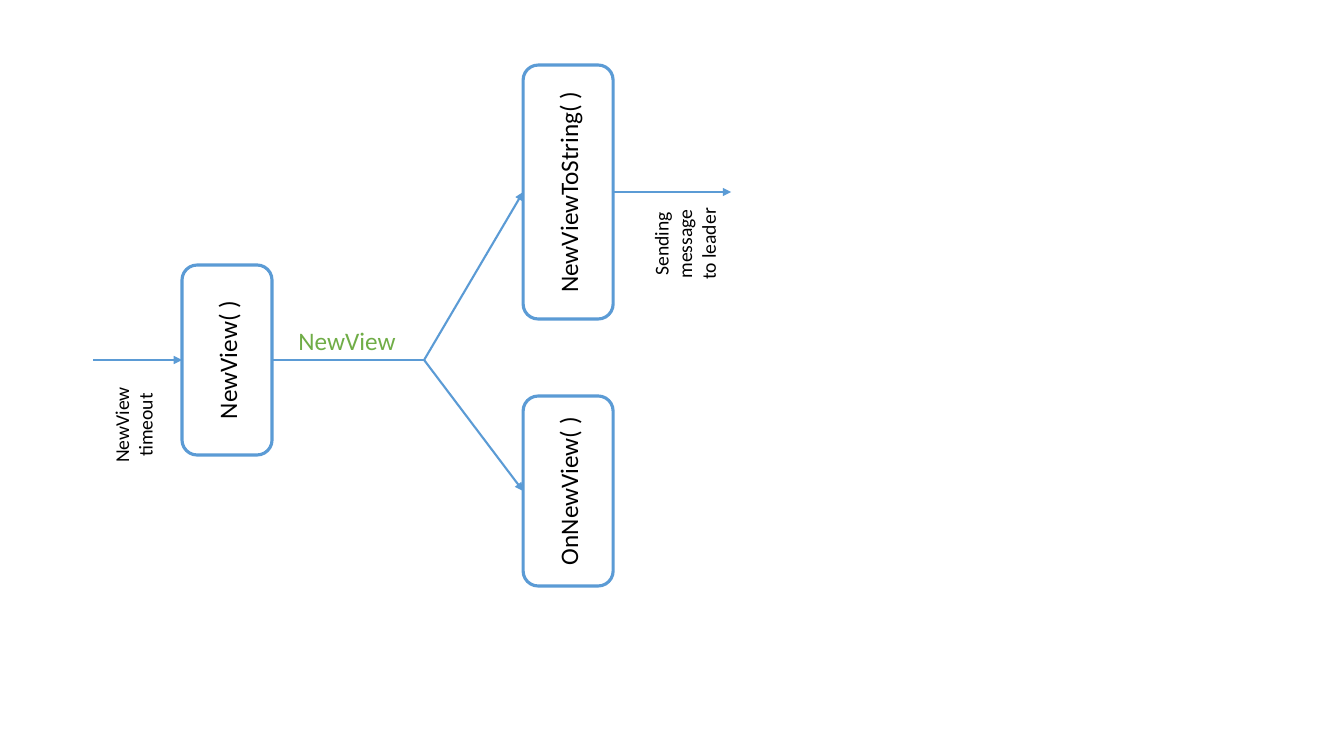
from dataclasses import dataclass

from lxml import etree
from pptx import Presentation
from pptx.dml.color import RGBColor
from pptx.enum.shapes import MSO_CONNECTOR, MSO_SHAPE
from pptx.enum.text import MSO_ANCHOR, MSO_AUTO_SIZE, PP_ALIGN
from pptx.oxml.ns import qn
from pptx.util import Emu, Inches, Pt

STRAIGHT = MSO_CONNECTOR.STRAIGHT
ROUNDED = MSO_SHAPE.ROUNDED_RECTANGLE
CENTER = PP_ALIGN.CENTER
MIDDLE, TOP = MSO_ANCHOR.MIDDLE, MSO_ANCHOR.TOP
GROW = MSO_AUTO_SIZE.SHAPE_TO_FIT_TEXT
PIXELS_PER_INCH = 100.8
UPWARD = 270


@dataclass(frozen=True)
class Theme:
    """Colours, font and sizes of the diagram."""
    blue: RGBColor = RGBColor(0x5B, 0x9B, 0xD5)
    green: RGBColor = RGBColor(0x70, 0xAD, 0x47)
    black: RGBColor = RGBColor(0, 0, 0)
    white: RGBColor = RGBColor(255, 255, 255)
    font: str = "Calibri"
    name_size: float = 18
    note_size: float = 14
    border: float = 2.25
    stroke: float = 1.5


def px(pixels):
    """Turn pixels into EMU."""
    return Emu(round(pixels * Inches(1) / PIXELS_PER_INCH))


class Diagram:
    """Draws the elements of a call flow on one slide."""

    def __init__(self, slide, theme):
        """Keep the slide and its style."""
        self.shapes = slide.shapes
        self.theme = theme

    def frame(self, center, width, height):
        """Return left, top, width and height around a center."""
        x, y = center
        return px(x - width / 2), px(y - height / 2), px(width), px(height)

    def set_text(self, shape, text, size, color, anchor):
        """Fill a shape with centred text."""
        frame = shape.text_frame
        frame.word_wrap = True
        frame.vertical_anchor = anchor
        frame.text = text
        for paragraph in frame.paragraphs:
            paragraph.alignment = CENTER
            for run in paragraph.runs:
                run.font.name = self.theme.font
                run.font.size = Pt(size)
                run.font.color.rgb = color

    def function(self, text, center, length, thickness):
        """Add an upright box for a function."""
        box = self.shapes.add_shape(ROUNDED, *self.frame(center, length, thickness))
        box.rotation = UPWARD
        box.shadow.inherit = False
        box.fill.solid()
        box.fill.fore_color.rgb = self.theme.white
        box.line.color.rgb = self.theme.blue
        box.line.width = Pt(self.theme.border)
        self.set_text(box, text, self.theme.name_size, self.theme.black, MIDDLE)

    def label(self, text, center, height, size, color, rotation=0):
        """Add a label beside a line."""
        label = self.shapes.add_textbox(*self.frame(center, LABEL_WIDTH, height))
        label.rotation = rotation
        self.set_text(label, text, size, color, TOP)
        label.text_frame.auto_size = GROW

    def line(self, start, end, arrow=True):
        """Add a line, with an arrowhead at its end if wanted."""
        line = self.shapes.add_connector(STRAIGHT, *map(px, start + end))
        line.line.color.rgb = self.theme.blue
        line.line.width = Pt(self.theme.stroke)
        properties = line._element.spPr
        if arrow:
            outline = properties.find(qn("a:ln"))
            etree.SubElement(outline, qn("a:tailEnd"), type="triangle")
        etree.SubElement(properties, qn("a:effectLst"))


THICKNESS = 90
LABEL_WIDTH = 130
HALF = THICKNESS // 2
CALLER_X, CALLEE_X = 227, 568
MAIN_Y, SEND_Y, HANDLE_Y = 360, 192, 491
FORK = (424, MAIN_Y)
FUNCTIONS = [
    ("NewView( )", (CALLER_X, MAIN_Y), 190),
    ("NewViewToString( )", (CALLEE_X, SEND_Y), 254),
    ("OnNewView( )", (CALLEE_X, HANDLE_Y), 190),
]
NOTES = [
    ("NewView timeout", (133, 425), 57),
    ("Sending message\nto leader", (685, 244), 82),
]

presentation = Presentation()
presentation.slide_width = Inches(13.33)
presentation.slide_height = Inches(7.5)
slide = presentation.slides.add_slide(presentation.slide_layouts[6])
theme = Theme()
diagram = Diagram(slide, theme)

for name, center, length in FUNCTIONS:
    diagram.function(name, center, length, THICKNESS)
for note, center, height in NOTES:
    diagram.label(note, center, height, theme.note_size, theme.black, UPWARD)
diagram.label("NewView", (347, 340), 40, theme.name_size, theme.green)

diagram.line((93, MAIN_Y), (CALLER_X - HALF, MAIN_Y))
diagram.line((CALLER_X + HALF, MAIN_Y), FORK, arrow=False)
for callee_y in (SEND_Y, HANDLE_Y):
    diagram.line(FORK, (CALLEE_X - HALF, callee_y))
diagram.line((CALLEE_X + HALF, SEND_Y), (731, SEND_Y))

presentation.save("out.pptx")
